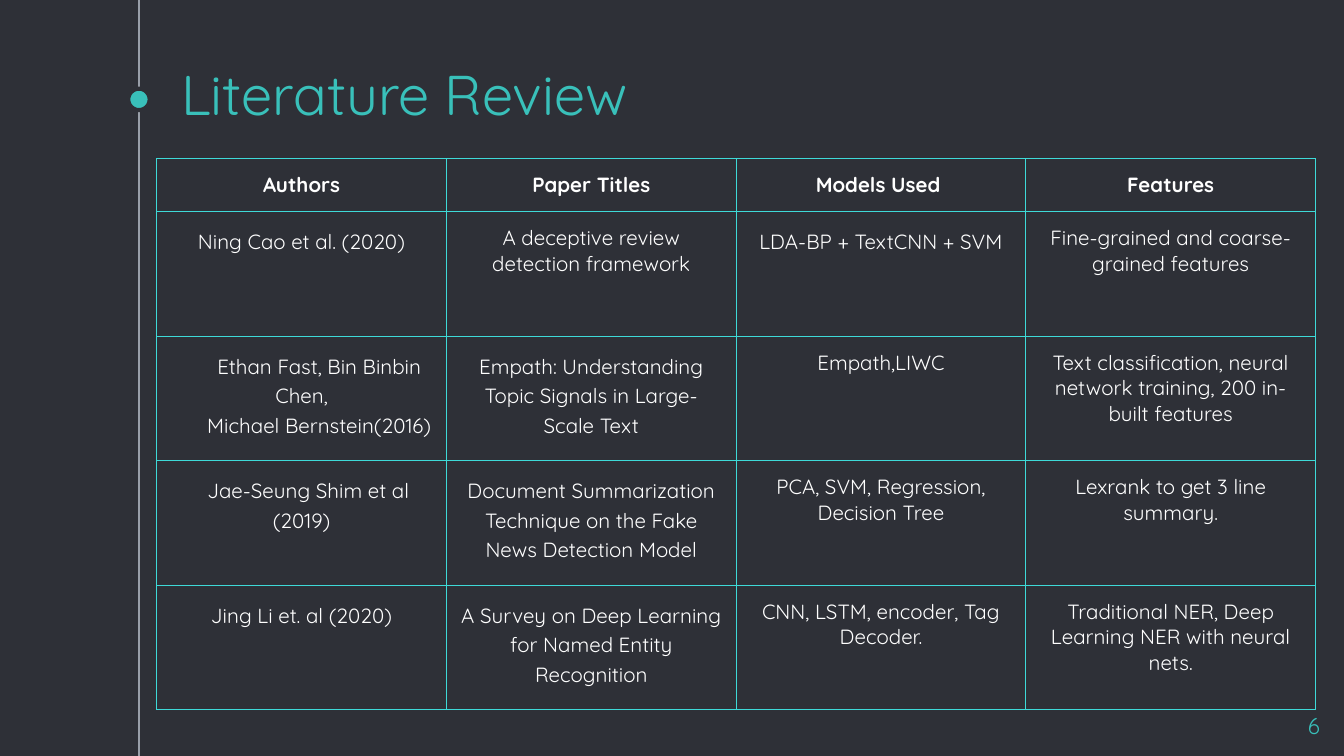
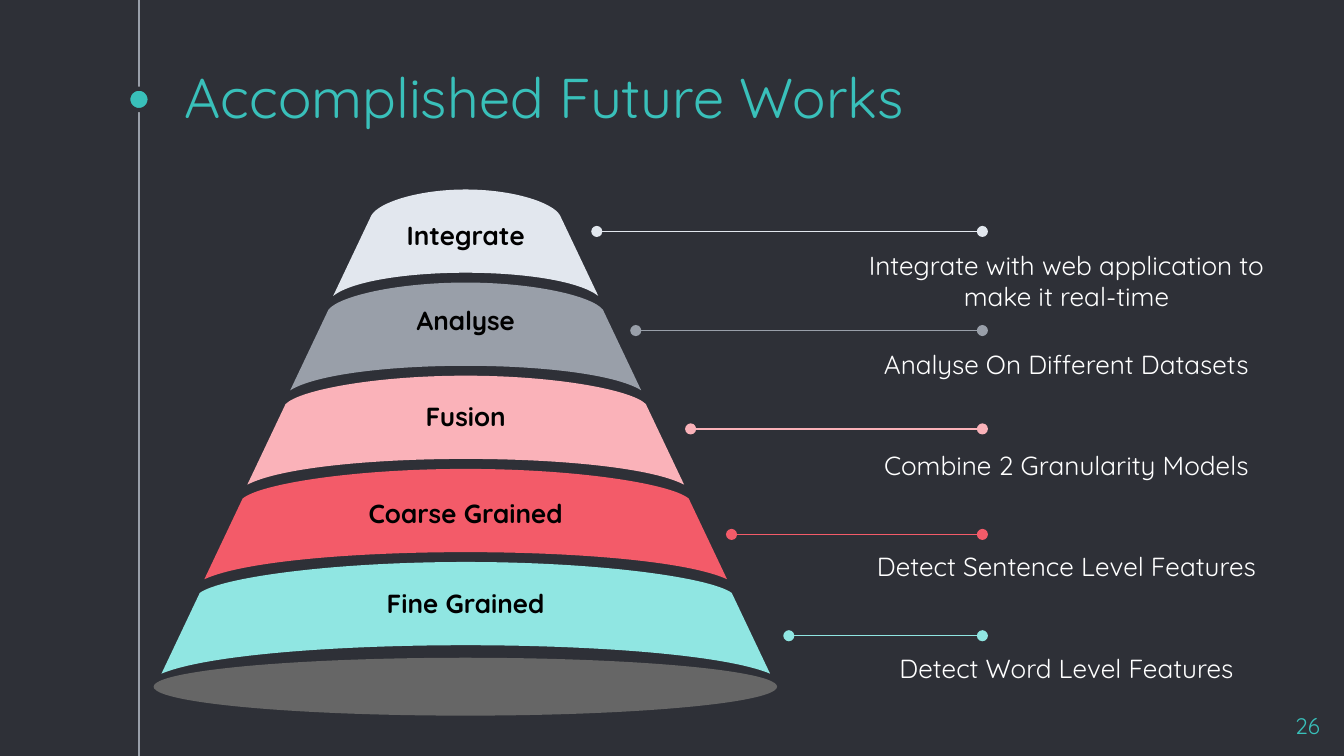
from lxml import etree
from pptx import Presentation
from pptx.dml.color import RGBColor
from pptx.enum import shapes, text
from pptx.oxml import ns
from pptx.util import Pt

DARK = RGBColor(0x2E, 0x30, 0x37)
TEAL = RGBColor(0x39, 0xC0, 0xBA)
GRID = RGBColor(0x3E, 0xDA, 0xD8)
WHITE = RGBColor(0xFF, 0xFF, 0xFF)
BLACK = RGBColor(0, 0, 0)
STEEL = RGBColor(0x99, 0x9F, 0xA9)
SMOKE = RGBColor(0x66, 0x66, 0x66)
MIST = RGBColor(0xE2, 0xE7, 0xEE)
PINK = RGBColor(0xFA, 0xB2, 0xB9)
RED = RGBColor(0xF3, 0x5B, 0x69)
AQUA = RGBColor(0x90, 0xE6, 0xE2)
FACE = "Quicksand"
LEFT, MID, RIGHT = text.PP_ALIGN.LEFT, text.PP_ALIGN.CENTER, text.PP_ALIGN.RIGHT

PAPERS = [
    ["Authors", "Paper Titles", "Models Used ", "Features"],
    ["Ning Cao et al. (2020)", "A deceptive review detection framework",
     "LDA-BP + TextCNN + SVM", "Fine-grained and coarse-grained features"],
    ["Ethan Fast, Bin Binbin Chen,\nMichael Bernstein(2016)",
     "Empath: Understanding Topic Signals in Large-Scale Text", "Empath,LIWC",
     "Text classification, neural network training, 200 in-built features"],
    ["Jae-Seung Shim et al (2019)",
     "Document Summarization Technique on the Fake News Detection Model",
     "PCA, SVM, Regression, Decision Tree", "Lexrank to get 3 line summary."],
    ["Jing Li et. al (2020)", "A Survey on Deep Learning for Named Entity Recognition",
     "CNN, LSTM, encoder, Tag Decoder.",
     "Traditional NER, Deep Learning NER with neural nets."],
]
LOOSE = {(1, 0), (1, 2), (2, 0), (2, 1), (3, 0), (3, 1), (4, 0), (4, 1)}
INDENT = {(2, 0): 19, (3, 0): 7.2}

# label, colour, label top, leader start, leader height, note top, note
TIERS = [
    ("Integrate", MIST, 8.7, 235.4, 22.5, 24.8,
     "Integrate with web application to make it real-time"),
    ("Analyse", STEEL, 54.3, 256.3, 75.6, 77.8, "Analyse On Different Datasets"),
    ("Fusion", PINK, 105.9, 285.7, 128.3, 132.1, "Combine 2 Granularity Models"),
    ("Coarse Grained", RED, 157.7, 307.6, 184.8, 186.1, "Detect Sentence Level Features"),
    ("Fine Grained", AQUA, 205.9, 338.3, 239.1, 240.9, "Detect Word Level Features"),
]


def style(para, size, color, align=LEFT, bold=False):
    """Set alignment and font of a paragraph."""
    para.alignment = align
    font = para.font
    font.name, font.size, font.bold = FACE, Pt(size), bold
    font.color.rgb = color


def write(slide, box, words, size, color, align=LEFT, bold=False, low=False):
    """Add a wrapped text box."""
    frame = slide.shapes.add_textbox(*map(Pt, box)).text_frame
    frame.word_wrap = True
    frame.margin_left = frame.margin_right = Pt(7.2)
    frame.margin_top = frame.margin_bottom = Pt(7.2)
    if low:
        frame.vertical_anchor = text.MSO_ANCHOR.BOTTOM
    frame.text = words
    style(frame.paragraphs[0], size, color, align, bold)


def paint(shape, color, edge=None):
    """Fill a shape and outline it if an edge colour is given."""
    shape.shadow.inherit = False
    shape.fill.solid()
    shape.fill.fore_color.rgb = color
    if edge is None:
        shape.line.fill.background()
    else:
        shape.line.color.rgb = edge
        shape.line.width = Pt(2.25)


def oval(slide, box, color, edge=None):
    """Add a painted ellipse."""
    paint(slide.shapes.add_shape(shapes.MSO_SHAPE.OVAL, *map(Pt, box)), color, edge)


def rule(slide, ends, color, dots=False):
    """Add a straight line, with round ends if asked."""
    line = slide.shapes.add_connector(shapes.MSO_CONNECTOR.STRAIGHT, *map(Pt, ends))
    line.line.color.rgb = color
    line.line.width = Pt(0.75)
    if dots:
        pen = line.line._get_or_add_ln()
        for tag in ("a:headEnd", "a:tailEnd"):
            etree.SubElement(pen, ns.qn(tag), type="oval")
    etree.SubElement(line._element.spPr, ns.qn("a:effectLst"))


def start(deck, title, box, number):
    """Add a slide with its rail, dot, title and number."""
    slide = deck.slides.add_slide(deck.slide_layouts[6])
    slide.background.fill.solid()
    slide.background.fill.fore_color.rgb = DARK
    rule(slide, (74.4, 0, 74.4, 405), STEEL)
    oval(slide, (68.7, 47.5, 11.5, 11.5), TEAL, DARK)
    write(slide, box, title, 30, TEAL, low=True)
    write(slide, (671, 374.4, 43.2, 24.5), number, 12, TEAL, RIGHT)
    return slide


def border(cell):
    """Draw the four cell borders and clear the fill."""
    props = cell._tc.get_or_add_tcPr()
    for side in "LRTB":
        line = etree.SubElement(props, ns.qn(f"a:ln{side}"), w=str(Pt(0.75)))
        fill = etree.SubElement(line, ns.qn("a:solidFill"))
        etree.SubElement(fill, ns.qn("a:srgbClr"), val=str(GRID))
    cell.fill.background()


def review(slide, box):
    """Fill the box with the table of papers."""
    wide, high = box[2:]
    head = 28.4
    rows, cols = len(PAPERS), len(PAPERS[0])
    table = slide.shapes.add_table(rows, cols, *map(Pt, box)).table
    table.first_row = table.horz_banding = False
    for col in table.columns:
        col.width = Pt(wide / cols)
    for r, row in enumerate(PAPERS):
        table.rows[r].height = Pt((high - head) / (rows - 1) if r else head)
        for c, words in enumerate(row):
            cell = table.cell(r, c)
            cell.margin_left = cell.margin_right = Pt(7.2)
            cell.margin_top = cell.margin_bottom = Pt(7.2)
            border(cell)
            cell.text_frame.text = words
            for para in cell.text_frame.paragraphs:
                if (r, c) in LOOSE:
                    para.line_spacing = 1.15
                if (r, c) in INDENT:
                    para._p.get_or_add_pPr().set("indent", str(Pt(INDENT[r, c])))
                style(para, 11, WHITE, MID, r == 0)


def bend(shape, firsts):
    """Turn each run of three segments, from the given indices, into one curve."""
    lines = list(shape._element.iter(ns.qn("a:lnTo")))
    for first in firsts:
        arc = etree.Element(ns.qn("a:cubicBezTo"))
        lines[first].addprevious(arc)
        for line in lines[first:first + 3]:
            arc.append(line[0])
            line.getparent().remove(line)


def band(slide, mid, top, index, color):
    """Add one curved band of the cone, counted from its tip."""
    foot = 71 + 23 * index
    neck = foot - 20.5
    peak = top + 49.9 * index
    base = top + 57 + 50.6 * index
    brow, dip = base - 43.2, peak + 44.6
    dome = [(-neck, brow), (-0.92 * neck, (brow + peak) / 2), (-0.5 * neck, peak), (0, peak)]
    hem = [(foot, base), (0.85 * foot, dip + (base - dip) / 3), (0.42 * foot, dip), (0, dip)]
    ring = [(-foot, base)]
    for half in (dome, hem):
        ring += half + [(-x, y) for x, y in half[-2::-1]]
    spots = [(Pt(mid + x), Pt(y)) for x, y in ring]
    pen = slide.shapes.build_freeform(*spots[0])
    pen.add_line_segments(spots[1:], close=True)
    shape = pen.convert_to_shape()
    bend(shape, (1, 4, 8, 11))
    paint(shape, color)


def cone(slide, box):
    """Place the cone with its labels, leaders and notes."""
    left, top, wide, high = box
    mid = left + 165.2
    oval(slide, (left - 2, top + high - 31, 334, 31), SMOKE)
    for i, (label, color, drop, begin, level, below, note) in enumerate(TIERS):
        band(slide, mid, top, i, color)
        write(slide, (mid - 65.5, top + drop, 131, 31.7), label, 14, BLACK, MID, True)
        rule(slide, (left + begin, top + level, left + 442, top + level), color, True)
        tall = 48.2 if i == 0 else 31.7
        write(slide, (left + wide - 255, top + below, 255, tall), note, 14, WHITE, MID)


def main():
    """Build and save the deck."""
    deck = Presentation()
    deck.slide_width, deck.slide_height = Pt(720), Pt(405)
    slide = start(deck, "Literature Review", (90, 29.2, 540, 46), "6")
    review(slide, (84, 85, 620.8, 295.2))
    slide = start(deck, "Accomplished Future Works", (91.7, 35.7, 540, 41), "26")
    cone(slide, (84.3, 101.5, 614.6, 281.9))
    deck.save("out.pptx")


if __name__ == "__main__":
    main()
